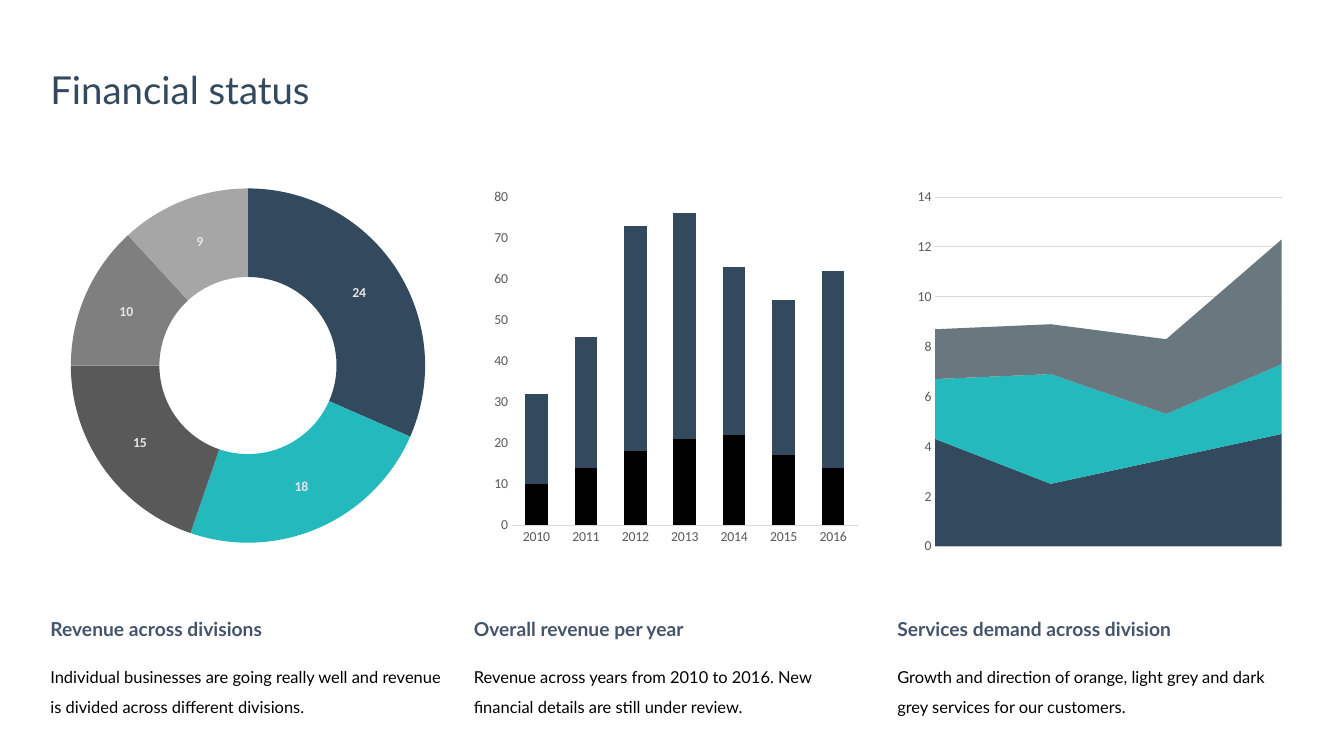
from lxml.etree import SubElement
from pptx import Presentation
from pptx.chart.data import CategoryChartData as ChartData
from pptx.dml.color import RGBColor as Color
from pptx.enum.chart import XL_CHART_TYPE as ChartType, XL_TICK_MARK as Tick
from pptx.enum.text import MSO_ANCHOR as Anchor
from pptx.oxml.ns import qn
from pptx.util import Inches, Pt

COLORS = {
    "navy": "33495E", "teal": "24B9BD", "slate": "69787E", "heading": "44546A",
    "black": "000000", "label": "E7E6E6", "axis": "595959", "rule": "D9D9D9",
    "dark": "595959", "middle": "7F7F7F", "light": "A6A6A6",
}
WIDTH, HEIGHT = 13.6, 7.65
MARGIN, COLUMN, PITCH = 0.51, 4.04, 4.285
TITLE_TOP, CHART_TOP, HEADING_TOP, BODY_TOP = 0.69, 1.75, 6.31, 6.65
CHART_HEIGHT = 3.94


class StatusSlide:
    """Holds the style and the current slide, and adds elements by column."""

    def __init__(self, deck):
        """Add a blank slide to the deck."""
        self.slide = deck.slides.add_slide(deck.slide_layouts[6])
        self.text_font, self.chart_font = "Lato", "Calibri"

    def frame(self, column, top, height, span=1):
        """Return left, top, width and height for a span of columns."""
        width = COLUMN + PITCH * (span - 1)
        return [Inches(n) for n in (MARGIN + PITCH * column, top, width, height)]

    def style(self, font, name, size, color, bold=False):
        """Set every property of a font."""
        font.name, font.size, font.bold = name, Pt(size), bold
        font.color.rgb = Color.from_string(COLORS[color])

    def fill(self, target, color):
        """Fill a series or point and remove its outline."""
        target.format.fill.solid()
        target.format.fill.fore_color.rgb = Color.from_string(COLORS[color])
        target.format.line.fill.background()

    def rule(self, line):
        """Draw a thin pale chart line."""
        line.color.rgb = Color.from_string(COLORS["rule"])
        line.width = Pt(0.75)

    def text(self, words, frame, size, color, spacing, before=0, bold=False,
             anchor=Anchor.TOP):
        """Add a one-paragraph text box without insets."""
        box = self.slide.shapes.add_textbox(*frame).text_frame
        box.word_wrap, box.vertical_anchor = True, anchor
        box.margin_left = box.margin_right = box.margin_top = box.margin_bottom = 0
        para = box.paragraphs[0]
        para.text, para.line_spacing, para.space_before = words, spacing, Pt(before)
        self.style(para.font, self.text_font, size, color, bold)

    def caption(self, column, heading, body):
        """Add the heading and the description below a chart."""
        self.text(heading, self.frame(column, HEADING_TOP, 0.17),
                  14, "heading", Pt(12), 9, True)
        self.text(body, self.frame(column, BODY_TOP, 0.57), 12, "black", 1.5, 9)

    def chart(self, column, kind, categories, series, plot_area):
        """Add a chart with a fixed inner plot area, given as shares."""
        data = ChartData()
        data.categories = categories
        for number, values in enumerate(series, 1):
            data.add_series(f"Series {number}", values)
        frame = self.frame(column, CHART_TOP, CHART_HEIGHT)
        chart = self.slide.shapes.add_chart(kind, *frame, data).chart
        chart.has_title = chart.has_legend = False
        self.style(chart.font, self.chart_font, 10, "black")
        chart.plots[0].vary_by_categories = False
        self.place_plot(chart, plot_area)
        return chart

    def place_plot(self, chart, plot_area):
        """Fix the position of the inner plot area."""
        area = chart.element.find(".//" + qn("c:plotArea"))
        for layout in area.findall(qn("c:layout")):
            area.remove(layout)
        layout = SubElement(area, qn("c:layout"))
        area.insert(0, layout)
        manual = SubElement(layout, qn("c:manualLayout"))
        settings = [("layoutTarget", "inner"), ("xMode", "edge"), ("yMode", "edge")]
        for tag, value in settings + list(zip("xywh", plot_area)):
            SubElement(manual, qn("c:" + tag)).set("val", str(value))

    def doughnut(self, column, values, colors, plot_area):
        """Add a doughnut chart with a value on each slice."""
        names = [str(n) for n in range(1, len(values) + 1)]
        chart = self.chart(column, ChartType.DOUGHNUT, names, [values], plot_area)
        plot = chart.plots[0]
        plot.vary_by_categories = True
        for index, color in enumerate(colors):
            self.fill(plot.series[0].points[index], color)
        plot.has_data_labels = True
        labels = plot.data_labels
        labels.show_value, labels.show_percentage = True, False
        self.style(labels.font, self.chart_font, 10, "label", True)

    def stacked(self, column, kind, categories, series, plot_area, top, step):
        """Add a stacked chart; series maps a colour to its values."""
        chart = self.chart(column, kind, categories, series.values(), plot_area)
        for drawn, color in zip(chart.plots[0].series, series):
            self.fill(drawn, color)
        scale = chart.value_axis
        scale.minimum_scale, scale.maximum_scale, scale.major_unit = 0, top, step
        scale.has_major_gridlines = False
        scale.format.line.fill.background()
        for axis in (scale, chart.category_axis):
            axis.major_tick_mark = axis.minor_tick_mark = Tick.NONE
            self.style(axis.tick_labels.font, self.chart_font, 10, "axis")
        return chart

    def columns(self, column, *contents):
        """Add a stacked column chart with a base line."""
        chart = self.stacked(column, ChartType.COLUMN_STACKED, *contents)
        chart.plots[0].gap_width, chart.plots[0].overlap = 119, 100
        self.rule(chart.category_axis.format.line)

    def areas(self, column, *contents):
        """Add a stacked area chart that fills its plot from edge to edge."""
        chart = self.stacked(column, ChartType.AREA_STACKED, *contents)
        chart.category_axis.visible = False
        chart.value_axis.has_major_gridlines = True
        self.rule(chart.value_axis.major_gridlines.format.line)
        crossing = chart.element.find(".//" + qn("c:crossBetween"))
        if crossing is not None:
            crossing.set("val", "midCat")


deck = Presentation()
deck.slide_width, deck.slide_height = Inches(WIDTH), Inches(HEIGHT)
page = StatusSlide(deck)
page.text("Financial status", page.frame(0, TITLE_TOP, 0.45, span=3),
          28, "navy", Pt(32), anchor=Anchor.MIDDLE)

page.doughnut(0, [24, 18, 15, 10, 9], ["navy", "teal", "dark", "middle", "light"],
              (0.05, 0.04, 0.89, 0.91))
page.columns(1, [str(year) for year in range(2010, 2017)],
             {"black": [10, 14, 18, 21, 22, 17, 14],
              "navy": [22, 32, 55, 55, 41, 38, 48]},
             (0.095, 0.062, 0.867, 0.843), 80, 10)
page.areas(2, ["1", "2", "3", "4"],
           {"navy": [4.3, 2.5, 3.5, 4.5],
            "teal": [2.4, 4.4, 1.8, 2.8],
            "slate": [2, 2, 3, 5]},
           (0.095, 0.062, 0.868, 0.897), 14, 2)

CAPTIONS = [
    ("Revenue across divisions",
     "Individual businesses are going really well and revenue is divided "
     "across different divisions."),
    ("Overall revenue per year",
     "Revenue across years from 2010 to 2016. New financial details are "
     "still under review."),
    ("Services demand across division",
     "Growth and direction of orange, light grey and dark grey services "
     "for our customers."),
]
for column, (heading, body) in enumerate(CAPTIONS):
    page.caption(column, heading, body)

deck.save("out.pptx")
